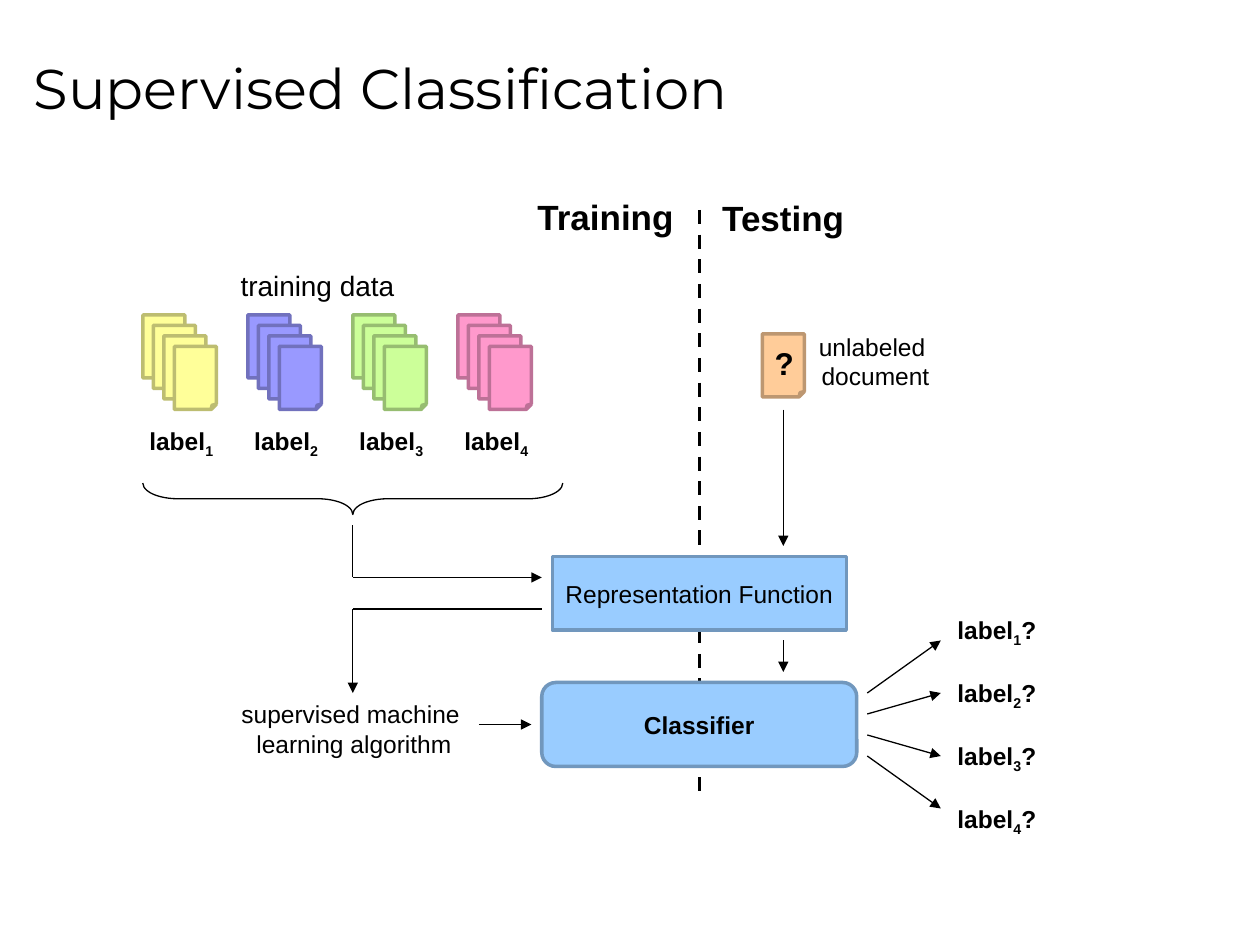
from lxml.etree import SubElement
from pptx import Presentation
from pptx.dml.color import RGBColor
from pptx.enum.dml import MSO_LINE
from pptx.enum.shapes import MSO_CONNECTOR, MSO_SHAPE
from pptx.enum.text import MSO_ANCHOR, MSO_AUTO_SIZE, PP_ALIGN
from pptx.oxml.ns import qn
from pptx.util import Pt

COLORS = {
    "black": "000000",
    "yellow": "FFFF99", "yellow edge": "BDBD71",
    "violet": "9999FF", "violet edge": "7171BD",
    "green": "CCFF99", "green edge": "97BD71",
    "pink": "FF99CC", "pink edge": "BD7197",
    "orange": "FFCC99", "orange edge": "BD9771",
    "blue": "99CCFF", "blue edge": "7197BD",
}
BLACK = RGBColor.from_string(COLORS["black"])


def write(shape, text, size, bold=False, align=PP_ALIGN.LEFT, wrap=False):
    """Write lines of text; parts between bars become subscripts."""
    frame = shape.text_frame
    frame.word_wrap = wrap
    for number, line in enumerate(text.split("\n")):
        para = frame.paragraphs[0] if number == 0 else frame.add_paragraph()
        para.alignment = align
        for position, part in enumerate(line.split("|")):
            if not part:
                continue
            span = para.add_run()
            span.text = part
            span.font.name = "Arial"
            span.font.size = Pt(size)
            span.font.bold = bold
            span.font.color.rgb = BLACK
            if position % 2:
                span.font._element.set("baseline", "-25000")


def draw_line(start, end, width=0.75, arrow=True):
    """Draw a straight black line, with an arrowhead at its end if wanted."""
    line = page.shapes.add_connector(
        MSO_CONNECTOR.STRAIGHT, *[Pt(value) for value in start + end])
    line.line.color.rgb = BLACK
    line.line.width = Pt(width)
    if arrow:
        SubElement(line.line._get_or_add_ln(), qn("a:tailEnd"), type="triangle")
    SubElement(line._element.spPr, qn("a:effectLst"))
    return line


deck = Presentation()
deck.slide_width, deck.slide_height = Pt(720), Pt(540)
page = deck.slides.add_slide(deck.slide_layouts[5])

# Title
title = page.shapes.title
title.left, title.top, title.width, title.height = Pt(12), Pt(9), Pt(684), Pt(81)
title.text_frame.text = "Supervised Classification"
title.text_frame.vertical_anchor = MSO_ANCHOR.MIDDLE
title_para = title.text_frame.paragraphs[0]
title_para.alignment = PP_ALIGN.LEFT
title_font = title_para.runs[0].font
title_font.name, title_font.size = "Montserrat", Pt(32)
title_font.color.rgb = BLACK

# Divider between training and testing
divider = draw_line((399.6, 120), (399.6, 456), width=2, arrow=False)
divider.line.dash_style = MSO_LINE.DASH

# Document stacks, unlabeled document and process boxes
filled_shapes = [
    (MSO_SHAPE.FOLDED_CORNER, (81.6 + 60 * stack + 6 * sheet, 180 + 6 * sheet, 24, 36),
     color, "", 14, False, PP_ALIGN.LEFT)
    for stack, color in enumerate(["yellow", "violet", "green", "pink"])
    for sheet in range(4)
] + [
    (MSO_SHAPE.FOLDED_CORNER, (435.6, 190.8, 24, 36), "orange", "?", 18, True,
     PP_ALIGN.LEFT),
    (MSO_SHAPE.ROUNDED_RECTANGLE, (309.6, 390, 180, 48), "blue", "Classifier",
     14, True, PP_ALIGN.CENTER),
    (MSO_SHAPE.RECTANGLE, (315.6, 318, 168, 42), "blue", "Representation Function",
     14, False, PP_ALIGN.CENTER),
]
for kind, place, color, text, size, bold, align in filled_shapes:
    shape = page.shapes.add_shape(kind, *[Pt(value) for value in place])
    shape.shadow.inherit = False
    if kind == MSO_SHAPE.FOLDED_CORNER:
        guides = shape._element.spPr.find(qn("a:prstGeom")).get_or_add_avLst()
        SubElement(guides, qn("a:gd"), name="adj", fmla="val 12500")
    shape.fill.solid()
    shape.fill.fore_color.rgb = RGBColor.from_string(COLORS[color])
    shape.line.color.rgb = RGBColor.from_string(COLORS[color + " edge"])
    shape.line.width = Pt(2)
    if text:
        shape.text_frame.vertical_anchor = MSO_ANCHOR.MIDDLE
        write(shape, text, size, bold, align)

# Brace under the training data
brace = page.shapes.add_shape(
    MSO_SHAPE.RIGHT_BRACE, Pt(192.6), Pt(165), Pt(18), Pt(240))
brace.rotation = 90
brace.adjustments[0] = 1.11
brace.shadow.inherit = False
brace.fill.background()
brace.line.color.rgb = BLACK
brace.line.width = Pt(0.75)

# Headings and labels
texts = [
    ((300, 108, 93.6, 31), "Training", 20, True),
    ((405.6, 108.6, 85.7, 31), "Testing", 20, True),
    ((130.4, 150, 103.7, 26.6), "training data", 16, False),
]
for index in range(4):
    texts.append(((78.2 + 60 * index, 240, 51, 24), f"label|{index + 1}|", 14, True))
    texts.append(((540, 348 + 36 * index, 60, 24), f"label|{index + 1}|?", 14, True))
for place, text, size, bold in texts:
    box = page.shapes.add_textbox(*[Pt(value) for value in place])
    write(box, text, size, bold)
    box.text_frame.auto_size = MSO_AUTO_SIZE.SHAPE_TO_FIT_TEXT

# Two-line captions
for left, top, text in [
    (111.6, 396, "supervised machine \nlearning algorithm"),
    (409.6, 186, "unlabeled \ndocument"),
]:
    box = page.shapes.add_textbox(Pt(left), Pt(top), Pt(181.4), Pt(41))
    write(box, text, 14, align=PP_ALIGN.CENTER, wrap=True)
    box.text_frame.auto_size = MSO_AUTO_SIZE.SHAPE_TO_FIT_TEXT

# Training flow
draw_line((201.6, 330), (201.6, 300), arrow=False)
draw_line((201.6, 330), (309.6, 330))
draw_line((201.6, 348), (309.6, 348), arrow=False)
draw_line((201.6, 348), (201.6, 396))
draw_line((273.6, 414), (303.6, 414))

# Testing flow
draw_line((447.6, 234), (447.6, 312))
draw_line((447.6, 366), (447.6, 384))
for index, target in enumerate([366, 396, 432, 462]):
    draw_line((495.6, 396 + 12 * index), (537.6, target))

deck.save("out.pptx")
